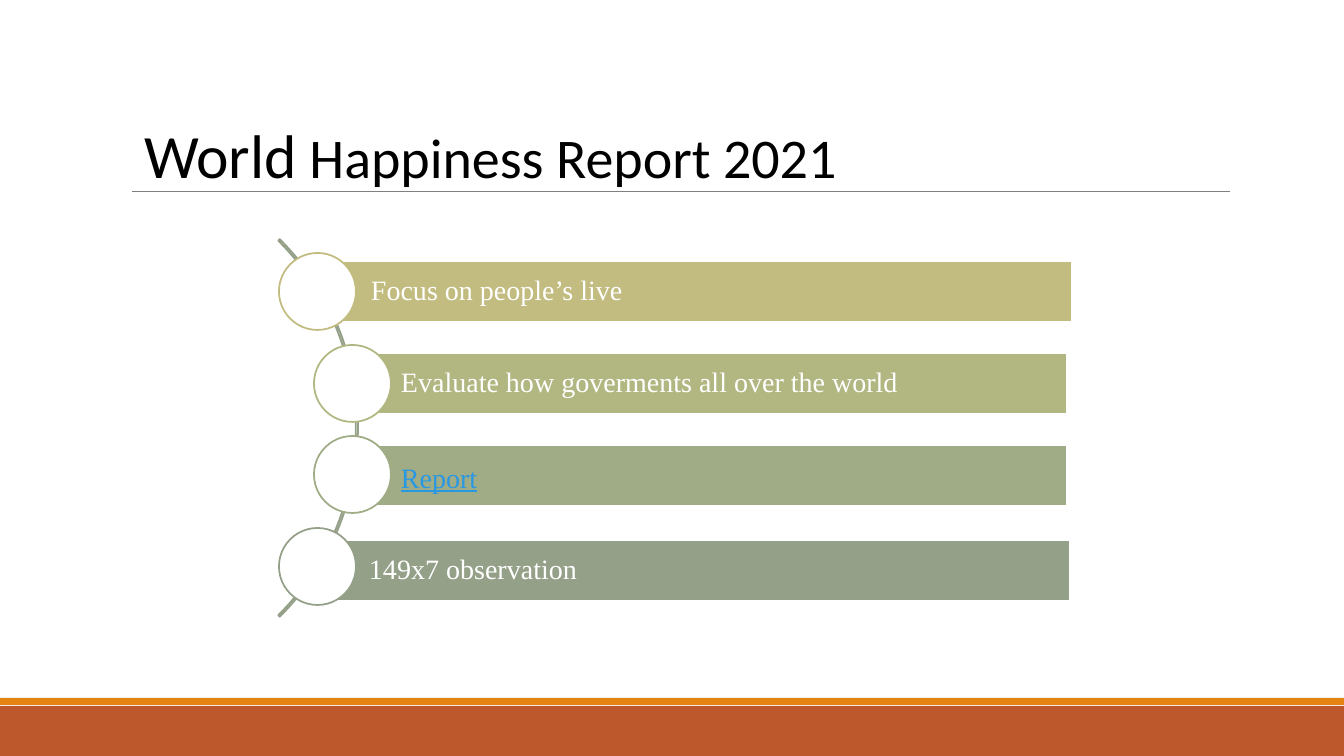
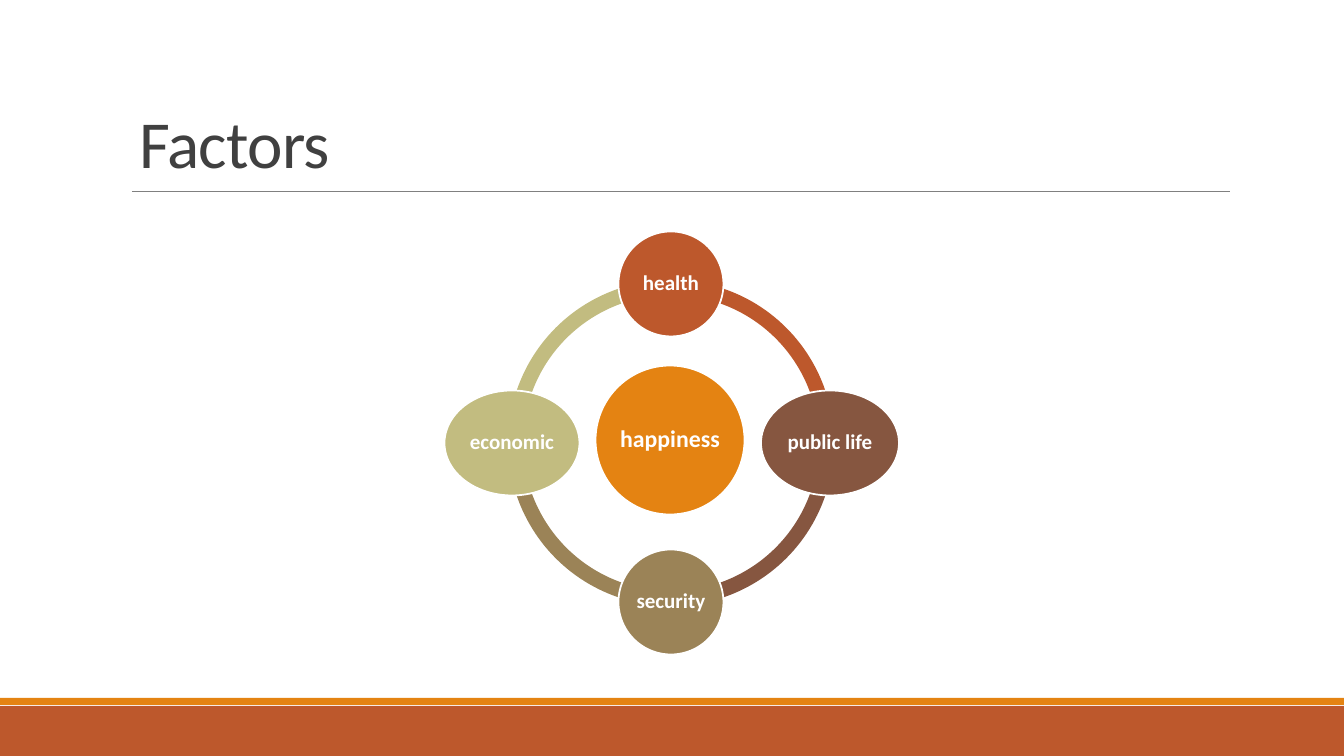
import math

import pptx
import pptx.dml.color
import pptx.enum.shapes
import pptx.enum.text
import pptx.oxml.ns
import pptx.util
from lxml import etree

SLIDE_W, SLIDE_H = 1344, 756
EMU_PER_PX = 914400 / 100.8
COLORS = {
    "white": "FFFFFF", "black": "000000", "heading": "404040", "rule": "808080",
    "rust": "BD582C", "orange": "E48312", "brown": "865640", "khaki": "9B8357",
    "sand": "C2BC80", "moss": "B2B782", "sage": "A0AC85", "grey green": "94A088",
    "link": "2998E3",
}
SHAPE = pptx.enum.shapes.MSO_SHAPE
ALIGN = pptx.enum.text.PP_ALIGN
ANCHOR = pptx.enum.text.MSO_ANCHOR


def px(*lengths):
    return [pptx.util.Emu(round(length * EMU_PER_PX)) for length in lengths]


def rgb(name):
    return pptx.dml.color.RGBColor.from_string(COLORS[name])


def draw(slide, kind, box, fill=None, line=None, adjust=()):
    shape = slide.shapes.add_shape(kind, *px(*box))
    shape.shadow.inherit = False
    for index, value in enumerate(adjust):
        shape.adjustments[index] = value
    if fill:
        shape.fill.solid()
        shape.fill.fore_color.rgb = rgb(fill)
    else:
        shape.fill.background()
    if line:
        shape.line.color.rgb = rgb(line)
        shape.line.width = pptx.util.Pt(1.25)
    else:
        shape.line.fill.background()
    return shape


def write(shape, text, size, color="white", font="Calibri", bold=False, underline=False,
          align=ALIGN.LEFT, anchor=ANCHOR.MIDDLE, insets=(10, 5, 10, 5), leading=0.9, spacing=0):
    """Add a run to the shape's first paragraph; insets are left, top, right, bottom."""
    frame = shape.text_frame
    frame.word_wrap = True
    frame.auto_size = pptx.enum.text.MSO_AUTO_SIZE.NONE
    frame.vertical_anchor = anchor
    frame.margin_left, frame.margin_top, frame.margin_right, frame.margin_bottom = px(*insets)
    paragraph = frame.paragraphs[0]
    paragraph.alignment = align
    paragraph.line_spacing = leading
    run = paragraph.add_run()
    run.text = text
    run.font.name = font
    run.font.size = pptx.util.Pt(size)
    run.font.bold = bold
    run.font.underline = underline
    run.font.color.rgb = rgb(color)
    if spacing:
        run.font._element.set("spc", str(round(spacing * 100)))


deck = pptx.Presentation()
deck.slide_width, deck.slide_height = px(SLIDE_W, SLIDE_H)
title_only = deck.slide_layouts[5]
report = deck.slides.add_slide(title_only)
factors = deck.slides.add_slide(title_only)

# Shared bands and title rule, moved to the layout
bottom_band = draw(report, SHAPE.RECTANGLE, (0, 706, SLIDE_W, 50), fill="rust")
accent_band = draw(report, SHAPE.RECTANGLE, (0, 698, SLIDE_W, 7), fill="orange")
title_rule = report.shapes.add_connector(
    pptx.enum.shapes.MSO_CONNECTOR.STRAIGHT, *px(132, 191, 1230, 191))
title_rule.line.color.rgb = rgb("rule")
title_rule.line.width = pptx.util.Pt(0.5)
etree.SubElement(title_rule.element.spPr, pptx.oxml.ns.qn("a:effectLst"))
for number, part in enumerate((bottom_band, accent_band, title_rule), start=101):
    part.element.xpath(".//p:cNvPr")[0].set("id", str(number))
    title_only.shapes.element.append(part.element)

# Titles
for slide, box in ((report, (134, 112, 937, 85)), (factors, (129, 68, 1109, 119))):
    heading = slide.shapes.title
    heading.left, heading.top, heading.width, heading.height = px(*box)
for words, size in (("World", 44), (" Happiness Report 2021", 40)):
    write(report.shapes.title, words, size, color="black", anchor=ANCHOR.TOP, leading=1.0)
write(factors.shapes.title, "Factors", 48, color="heading", anchor=ANCHOR.BOTTOM,
      leading=0.85, spacing=-0.5)

# Report: bars with circles along an arc
draw(report, SHAPE.BLOCK_ARC, (-176, 161, 534, 534), line="grey green", adjust=(189, 27, 0.004))
CIRCLE = 77
BAR_H = 61
topics = [
    ("Focus on people’s live", "sand", 279, (323, 261, 749), {}),
    ("Evaluate how goverments all over the world", "moss", 314, (353, 353, 714), {}),
    ("Report", "sage", 314, (353, 445, 714),
     {"color": "link", "underline": True, "insets": (48, 13, 6, 6)}),
    ("149x7 observation", "grey green", 279, (321, 540, 749), {}),
]
for row, (topic, color, circle_left, bar_box, changes) in enumerate(topics):
    bar = draw(report, SHAPE.RECTANGLE, (*bar_box, BAR_H), fill=color, line="white")
    text_format = {"font": "Times New Roman", "insets": (48, 6, 6, 6)} | changes
    write(bar, topic, 20, **text_format)
    circle_top = 253 + round(row * 275 / 3)
    draw(report, SHAPE.OVAL, (circle_left, circle_top, CIRCLE, CIRCLE), fill="white", line=color)

# Factors: four ovals on a ring around happiness, clockwise from the top
CENTER_X, CENTER_Y = 671, 443
ORBIT = 159
RING = 326
QUARTER, FULL_TURN = 54, 216  # arc adjustments, in units of 100000/60000 degree
OVAL_H = 105
factor_ovals = [("health", "rust", 105), ("public life", "brown", 138),
                ("security", "khaki", 105), ("economic", "sand", 135)]
ring_box = (CENTER_X - RING // 2, CENTER_Y - RING // 2, RING, RING)
for step, (factor, color, oval_w) in enumerate(factor_ovals):
    start = (step + 3) * QUARTER % FULL_TURN
    end = (start + QUARTER) % FULL_TURN
    draw(factors, SHAPE.BLOCK_ARC, ring_box, fill=color, adjust=(start, end, 0.046))

ovals = [("happiness", "orange", 670, 440, 149, 149, 17)]
for step, (factor, color, oval_w) in enumerate(factor_ovals):
    angle = step * math.pi / 2
    ovals.append((factor, color, round(CENTER_X + ORBIT * math.sin(angle)),
                  round(CENTER_Y - ORBIT * math.cos(angle)), oval_w, OVAL_H, 15))
for factor, color, x, y, width, height, size in ovals:
    oval = draw(factors, SHAPE.OVAL, (x - width / 2, y - height / 2, width, height),
                fill=color, line="white")
    write(oval, factor, size, bold=True, align=ALIGN.CENTER, insets=(2, 2, 2, 2))

deck.save("out.pptx")
